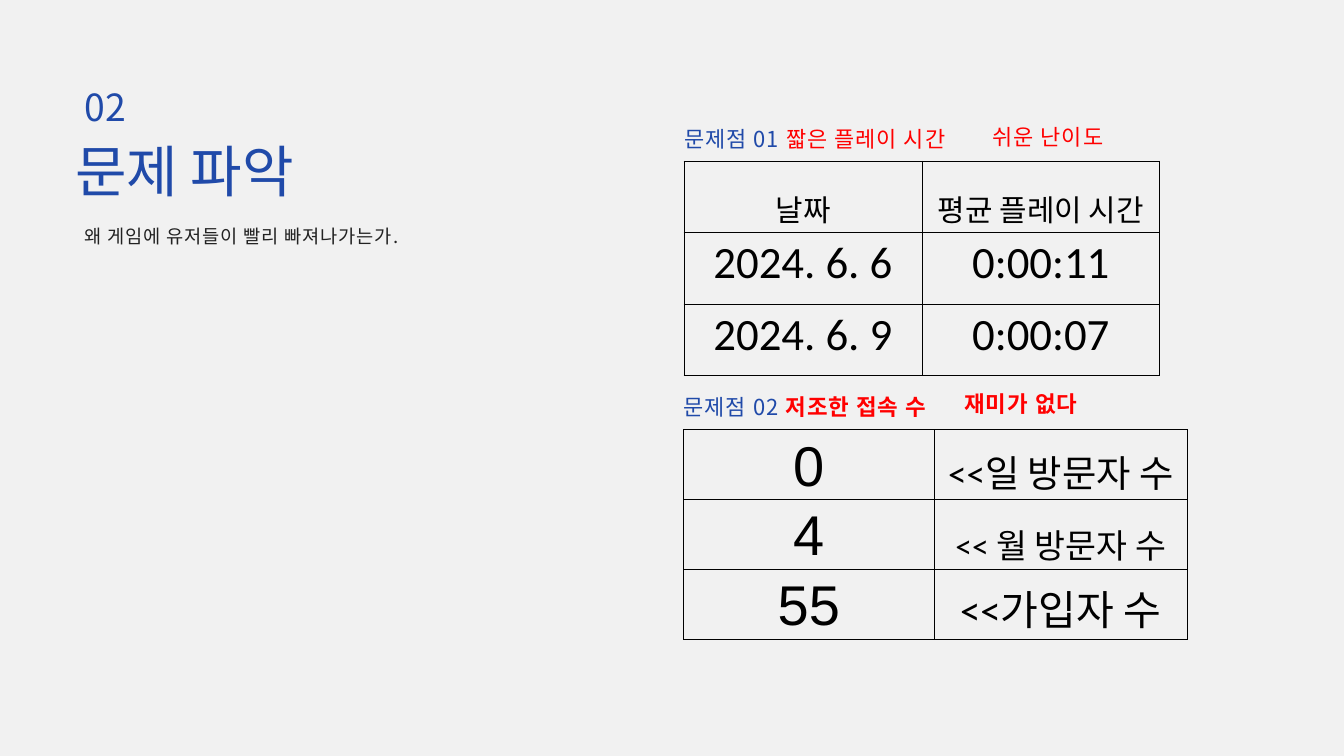
from lxml import etree
from pptx import Presentation
from pptx.dml.color import RGBColor
from pptx.enum.text import MSO_ANCHOR, MSO_AUTO_SIZE, PP_ALIGN
from pptx.oxml.ns import qn
from pptx.util import Inches, Pt

BLUE = RGBColor(0x20, 0x4A, 0xA9)
RED = RGBColor(0xFF, 0x00, 0x00)
BLACK = RGBColor(0x00, 0x00, 0x00)
DARK = RGBColor(0x22, 0x22, 0x22)
PAPER = RGBColor(0xF1, 0xF1, 0xF1)

KOREAN, LATIN, DIGITS = "Noto Sans CJK KR", "Calibri", "Arial"
LEFT, CENTER, JUSTIFY = PP_ALIGN.LEFT, PP_ALIGN.CENTER, PP_ALIGN.JUSTIFY
TOP, BOTTOM = MSO_ANCHOR.TOP, MSO_ANCHOR.BOTTOM
GROW = MSO_AUTO_SIZE.SHAPE_TO_FIT_TEXT


class SlideStyle:
    """Holds the current slide and draws each kind of element on it."""

    def __init__(self, page):
        self.page = page
        page.background.fill.solid()
        page.background.fill.fore_color.rgb = PAPER

    def format_span(self, span, size, color, font=KOREAN, bold=False, spacing=0):
        span.font.size = Pt(size)
        span.font.name = font
        span.font.bold = bold
        span.font.color.rgb = color
        properties = span.font._element
        if spacing:
            properties.set("spc", str(round(spacing * 100)))
        latin = properties.find(qn("a:latin"))
        east_asian = etree.Element(qn("a:ea"), typeface=KOREAN)
        latin.addnext(east_asian)

    def fill_box(self, box, place, spans, align=LEFT, line=None, inset=True):
        """Place a text shape; spans are pairs of text and its format."""
        box.left, box.top, box.width, box.height = map(Inches, place)
        frame = box.text_frame
        frame.word_wrap = True
        frame.auto_size = GROW
        frame.vertical_anchor = TOP
        if not inset:
            frame.margin_left = frame.margin_right = 0
            frame.margin_top = frame.margin_bottom = 0
        para = frame.paragraphs[0]
        para.alignment = align
        para.space_before = Pt(0)
        if line:
            para.line_spacing = Pt(line)
        for text, style in spans:
            span = para.add_run()
            span.text = text
            self.format_span(span, **style)

    def text(self, place, spans, **layout):
        box = self.page.shapes.add_textbox(*map(Inches, place))
        self.fill_box(box, place, spans, **layout)

    def cell_borders(self, cell):
        properties = cell._tc.get_or_add_tcPr()
        for index, side in enumerate(("lnL", "lnR", "lnT", "lnB")):
            line = etree.Element(qn(f"a:{side}"), w=str(Pt(1)))
            fill = etree.SubElement(line, qn("a:solidFill"))
            etree.SubElement(fill, qn("a:srgbClr"), val=str(BLACK))
            properties.insert(index, line)

    def table(self, place, widths, rows, anchor=TOP, margins=None):
        """Each cell is text, size, font and line spacing."""
        frame = self.page.shapes.add_table(len(rows), len(widths), *map(Inches, place))
        grid = frame.table
        grid.first_row = grid.horz_banding = False
        for column, width in zip(grid.columns, widths):
            column.width = Inches(width)
        for r, row in enumerate(rows):
            for c, (text, size, font, line) in enumerate(row):
                cell = grid.cell(r, c)
                cell.fill.background()
                self.cell_borders(cell)
                cell.vertical_anchor = anchor
                if margins:
                    cell.margin_left = cell.margin_right = Inches(margins[0])
                    cell.margin_top = cell.margin_bottom = Inches(margins[1])
                cell.text = text
                para = cell.text_frame.paragraphs[0]
                para.alignment = CENTER
                if line:
                    para.line_spacing = line
                self.format_span(para.runs[0], size, BLACK, font)


def main():
    deck = Presentation()
    deck.slide_width, deck.slide_height = Inches(20), Inches(11.25)
    page = deck.slides.add_slide(deck.slide_layouts[0])
    style = SlideStyle(page)

    # Section heading
    style.fill_box(page.shapes.title, (1.12, 1.86, 6.33, 1.09),
                   [("문제 파악", dict(size=60, color=BLUE, font=LATIN))],
                   line=84, inset=False)
    style.fill_box(page.placeholders[1], (1.25, 3.29, 5.64, 0.35),
                   [("왜 게임에 유저들이 빨리 빠져나가는가.",
                     dict(size=20, color=DARK, spacing=0.9))],
                   line=27.8, inset=False)
    style.text((1.13, 1.14, 0.87, 0.74), [("02", dict(size=40, color=BLUE))],
               align=CENTER, line=56, inset=False)

    # Problem labels, each with its cause beside it
    label = dict(size=23.5, color=BLUE, spacing=1.1)
    plain_red = dict(label, color=RED)
    bold_red = dict(plain_red, size=24, bold=True)
    problems = [
        ("문제점 01 ", "짧은 플레이 시간", plain_red, (10.18, 1.81, 4.4, 0.46),
         "쉬운 난이도", (14.67, 1.79, 2.6, 0.8), JUSTIFY),
        ("문제점 02 ", "저조한 접속 수", bold_red, (10.17, 5.79, 7.5, 0.46),
         "재미가 없다", (14.25, 5.75, 3.17, 0.5), LEFT),
    ]
    for number, problem, red, place, cause, cause_place, align in problems:
        style.text(place, [(number, label), (problem, red)],
                   align=JUSTIFY, line=32.7, inset=False)
        style.text(cause_place, [(cause, red)], align=align)

    # Average play time
    play_times = [("2024. 6. 6", "0:00:11"), ("2024. 6. 9", "0:00:07")]
    header = [(text, 32, LATIN, 1.5) for text in ("날짜", "평균 플레이 시간")]
    records = [[(text, 48, LATIN, None) for text in row] for row in play_times]
    style.table((10.18, 2.4, 7.08, 3.19), (3.54, 3.54), [header] + records)

    # Visitor counts
    visitors = [("0", "<<일 방문자 수", 40), ("4", "<< 월 방문자 수", 36),
                ("55", "<<가입자 수", 44)]
    counts = [[(count, 60, DIGITS, None), (name, size, LATIN, None)]
              for count, name, size in visitors]
    style.table((10.17, 6.39, 7.5, 3.12), (3.73, 3.77), counts,
                anchor=BOTTOM, margins=(0.03, 0.02))

    deck.save("out.pptx")


if __name__ == "__main__":
    main()
